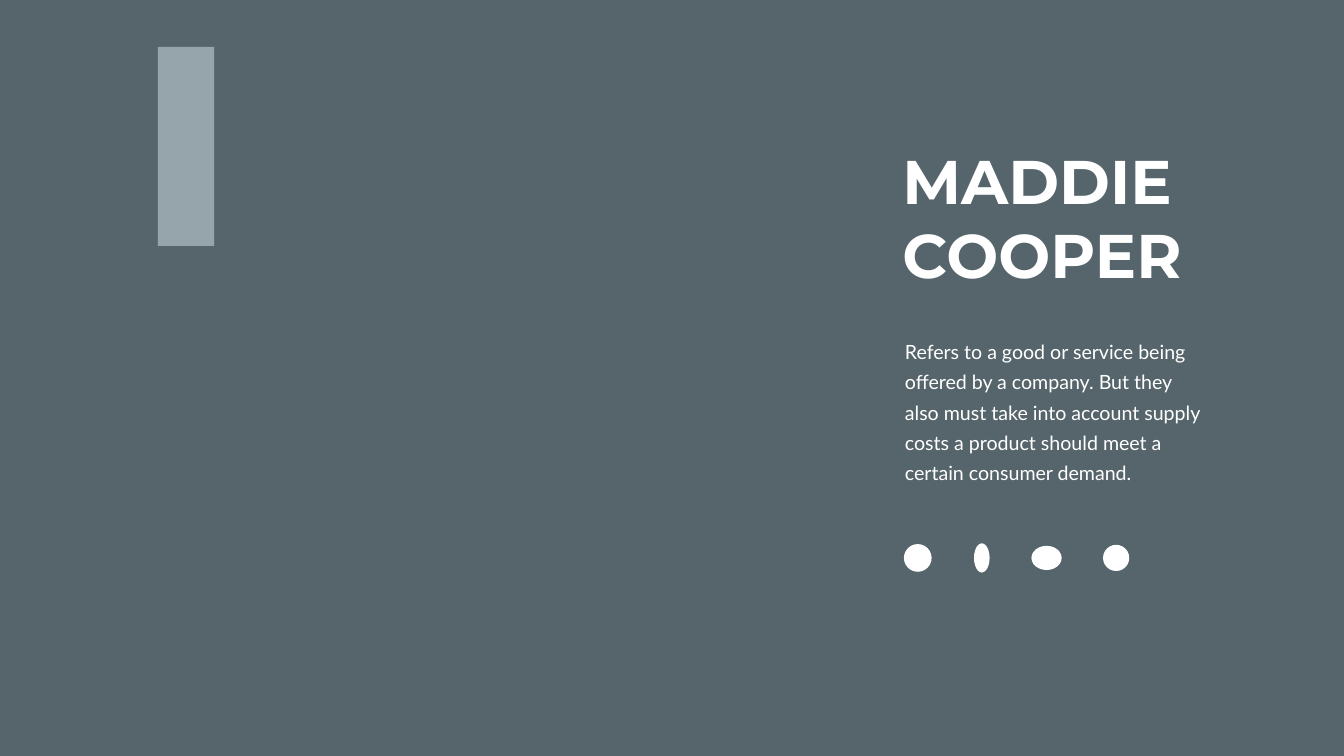
from pptx import Presentation
from pptx.dml.color import RGBColor
from pptx.enum.shapes import MSO_SHAPE
from pptx.enum.text import MSO_AUTO_SIZE
from pptx.util import Inches, Pt

RECT, OVAL = MSO_SHAPE.RECTANGLE, MSO_SHAPE.OVAL
GROW = MSO_AUTO_SIZE.SHAPE_TO_FIT_TEXT
WIDE, HIGH = 26.66, 15
SLATE, MIST, WHITE = "55656B", "95A5AB", "FFFFFF"

# Content
NAME = ["MADDIE", "COOPER"]
ABOUT = [
    "Refers to a good or service being offered by a company. "
    "But they also must take into account supply costs a product "
    "should meet a certain consumer demand."
]
PANELS = [
    ((0, 0, WIDE, HIGH), SLATE),
    ((3.13, 0.93, 1.12, 3.95), MIST),
]
# Social marks: left edge, width, height, all centred on one line
MARKS = [(17.93, 0.55, 0.55), (19.32, 0.31, 0.58),
         (20.46, 0.6, 0.48), (21.88, 0.52, 0.52)]
MARK_MID = 11.07


def color(code):
    return RGBColor.from_string(code)


def add_block(slide, kind, box, fill):
    shape = slide.shapes.add_shape(kind, *map(Inches, box))
    shape.shadow.inherit = False
    shape.fill.solid()
    shape.fill.fore_color.rgb = color(fill)
    shape.line.fill.background()


def add_text(slide, lines, box, font, size, bold=False, lead=None, inset=(0.1, 0.05)):
    frame = slide.shapes.add_textbox(*map(Inches, box)).text_frame
    frame.word_wrap = True
    frame.auto_size = GROW
    frame.margin_left = frame.margin_right = Inches(inset[0])
    frame.margin_top = frame.margin_bottom = Inches(inset[1])
    for i, line in enumerate(lines):
        para = frame.add_paragraph() if i else frame.paragraphs[0]
        if lead:
            para.line_spacing = Pt(lead)
        run = para.add_run()
        run.text = line
        run.font.name = font
        run.font.size = Pt(size)
        run.font.bold = bold
        run.font.color.rgb = color(WHITE)


def main():
    deck = Presentation()
    deck.slide_width, deck.slide_height = Inches(WIDE), Inches(HIGH)
    slide = deck.slides.add_slide(deck.slide_layouts[6])

    # Backdrop and accent bar
    for box, fill in PANELS:
        add_block(slide, RECT, box, fill)

    # Name and profile
    add_text(slide, NAME, (17.8, 2.79, 7.15, 3.06), "Montserrat", 88, bold=True)
    add_text(slide, ABOUT, (17.71, 6.5, 6.51, 3.19), "Lato", 28,
             lead=43, inset=(0.24, 0.12))

    # Plain social marks
    for left, width, height in MARKS:
        add_block(slide, OVAL, (left, MARK_MID - height / 2, width, height), WHITE)

    deck.save("out.pptx")


if __name__ == "__main__":
    main()
